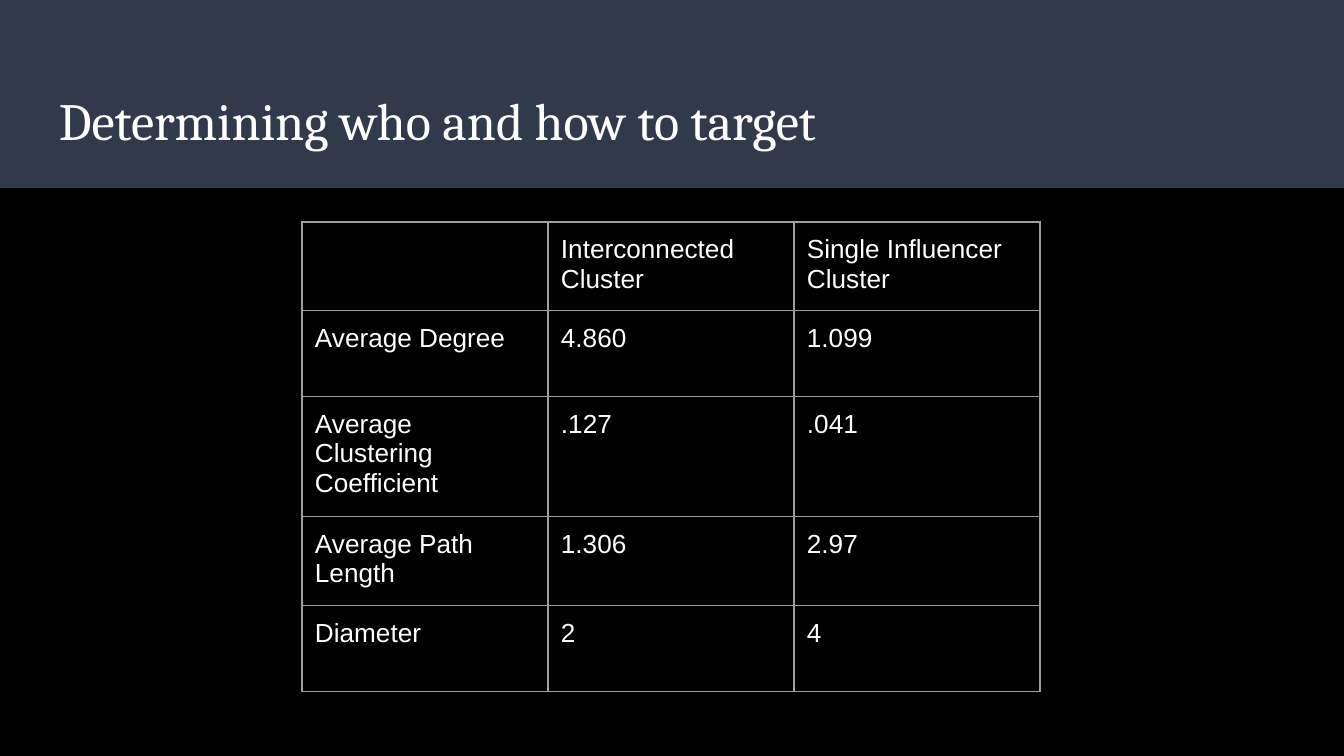
from lxml import etree
from pptx import Presentation, util as u
from pptx.dml.color import RGBColor
from pptx.enum import shapes, text
from pptx.oxml.ns import qn

SCALE = 914400 / 134.4
COLORS = {"background": "000000", "band": "31394D", "text": "FFFFFF", "border": "9E9E9E"}
ROWS = [
    ["", "Interconnected Cluster", "Single Influencer Cluster"],
    ["Average Degree", "4.860", "1.099"],
    ["Average Clustering Coefficient", ".127", ".041"],
    ["Average Path Length", "1.306", "2.97"],
    ["Diameter", "2", "4"],
]
COLUMN_WIDTH, ROW_HEIGHT, INSET = 246, 86, 13


def px(*lengths):
    return [u.Emu(round(length * SCALE)) for length in lengths]


def write(para, words, font_format):
    span = para.add_run()
    span.text = words
    for name, value in font_format.items():
        setattr(span.font, name, value)
    span.font.color.rgb = RGBColor.from_string(COLORS["text"])


deck = Presentation()
deck.slide_width, deck.slide_height = px(1344, 756)
page = deck.slides.add_slide(deck.slide_layouts[6])
page.background.fill.solid()
page.background.fill.fore_color.rgb = RGBColor.from_string(COLORS["background"])

band = page.shapes.add_shape(shapes.MSO_SHAPE.RECTANGLE, *px(0, 0, 1344, 188))
band.shadow.inherit = False
band.fill.solid()
band.fill.fore_color.rgb = RGBColor.from_string(COLORS["band"])
band.line.fill.background()

title = page.shapes.add_textbox(*px(46, 74, 1253, 91))
inset = px(INSET)[0]
frame_format = {
    "word_wrap": True,
    "vertical_anchor": text.MSO_ANCHOR.MIDDLE,
    "margin_left": inset,
    "margin_right": inset,
    "margin_top": inset,
    "margin_bottom": inset,
}
for name, value in frame_format.items():
    setattr(title.text_frame, name, value)
write(title.text_frame.paragraphs[0], "Determining who and how to target",
      {"name": "Cambria", "size": u.Pt(28)})

table_size = px(302, 222, COLUMN_WIDTH * len(ROWS[0]), ROW_HEIGHT * len(ROWS))
table = page.shapes.add_table(len(ROWS), len(ROWS[0]), *table_size).table
table.first_row = table.horz_banding = False
for column in table.columns:
    column.width = px(COLUMN_WIDTH)[0]
for row, values in zip(table.rows, ROWS):
    row.height = px(ROW_HEIGHT)[0]
    for cell, value in zip(row.cells, values):
        for side in ("left", "right", "top", "bottom"):
            setattr(cell, f"margin_{side}", inset)
        cell.vertical_anchor = text.MSO_ANCHOR.TOP
        cell.fill.background()
        properties = cell._tc.get_or_add_tcPr()
        for index, edge in enumerate(("lnL", "lnR", "lnT", "lnB")):
            border = etree.Element(qn(f"a:{edge}"), w=str(u.Pt(0.75)))
            fill = etree.SubElement(border, qn("a:solidFill"))
            etree.SubElement(fill, qn("a:srgbClr"), val=COLORS["border"])
            properties.insert(index, border)
        if value:
            write(cell.text_frame.paragraphs[0], value, {"name": "Arial", "size": u.Pt(14)})

deck.save("out.pptx")
